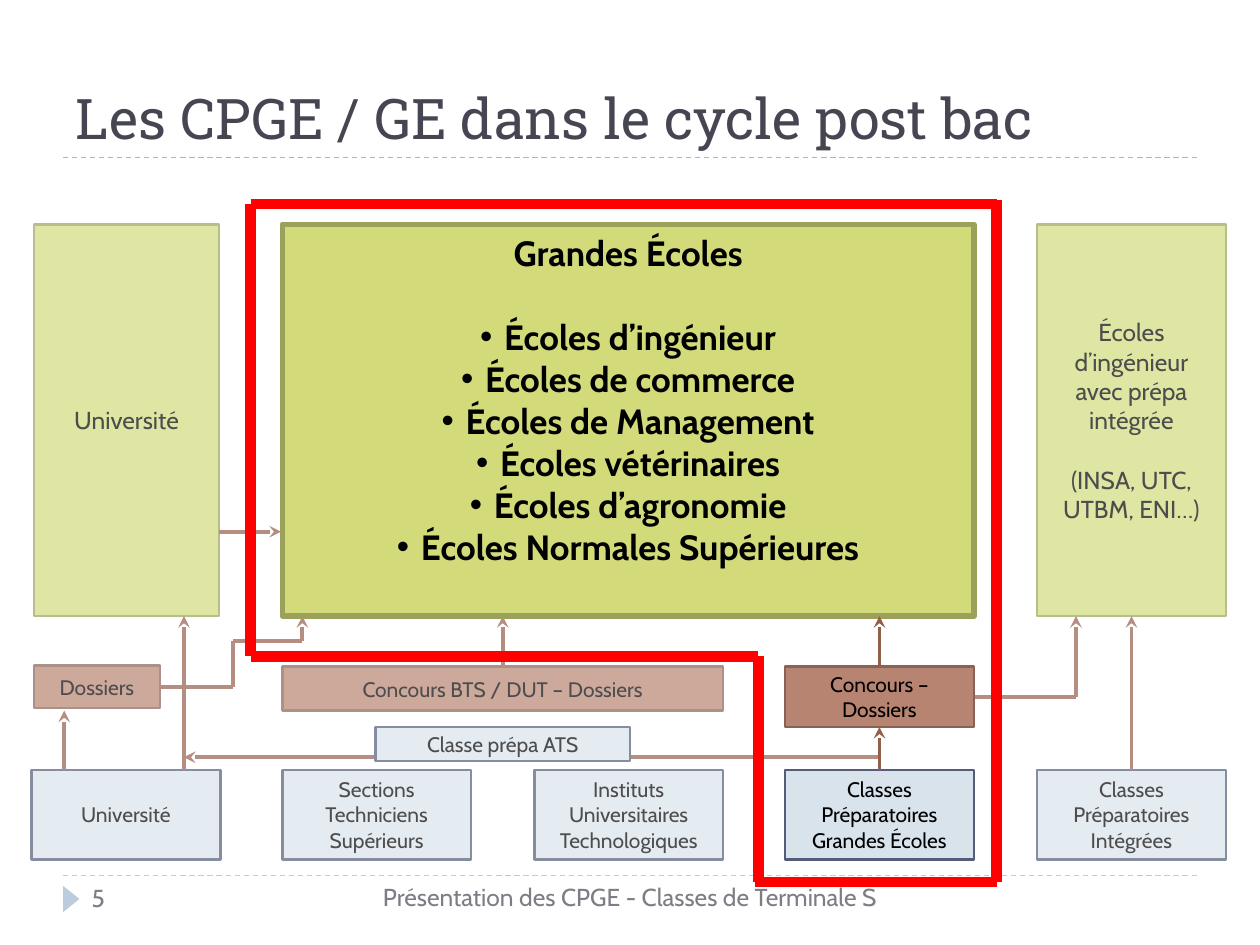
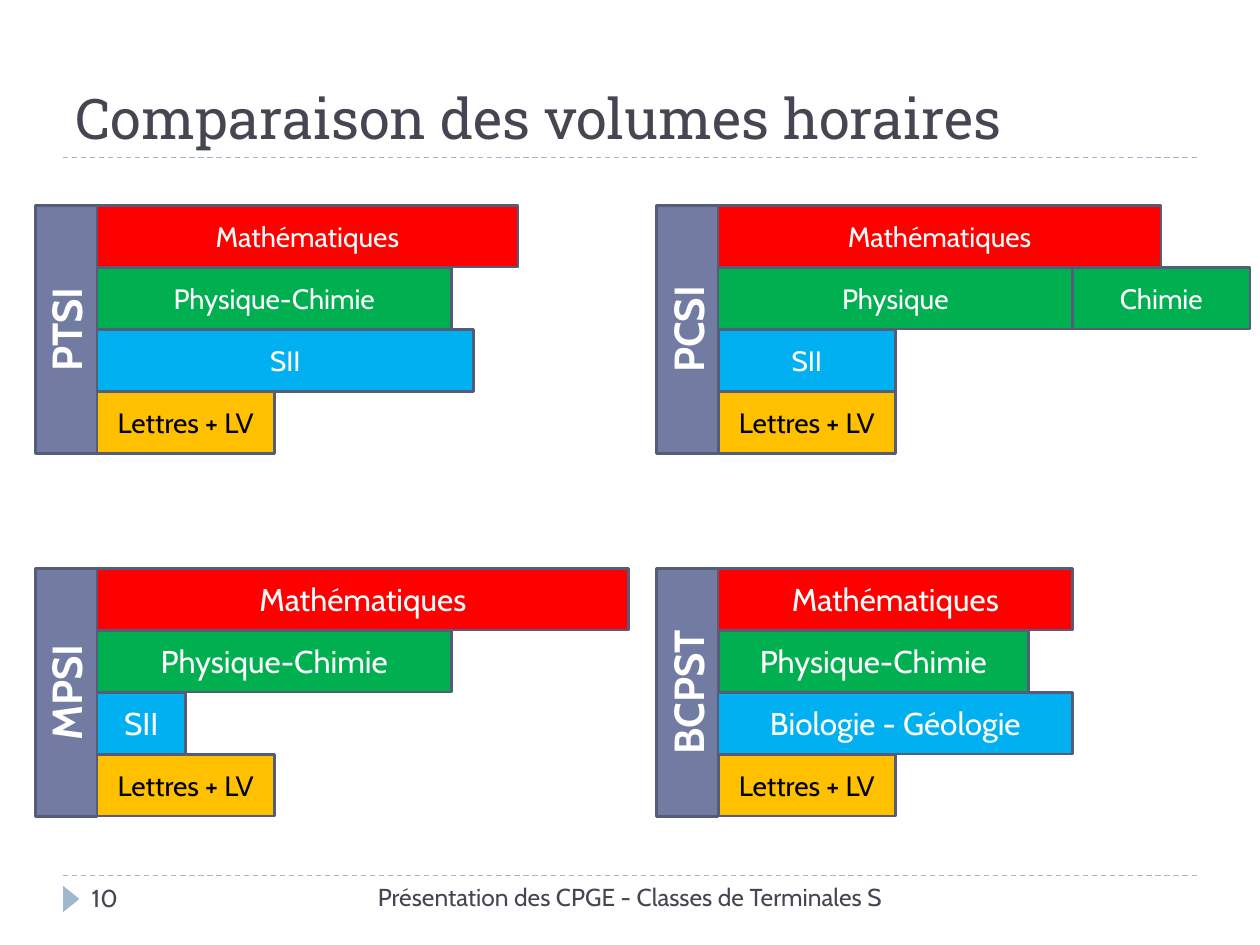
"""Build two slides on the preparatory classes: study paths and weekly hours."""
from dataclasses import dataclass, replace
from typing import Optional

from pptx import Presentation
from pptx import util as u
from pptx.dml.color import RGBColor
from pptx.enum import dml, shapes, text
from pptx.oxml import ns, xmlchemy
from pptx.shapes.autoshape import Shape
from pptx.shapes.connector import Connector
from pptx.slide import Slide
from lxml import etree

BODY_FONT = "Cabin"
TITLE_FONT = "Roboto Slab"
INK = RGBColor(0x46, 0x46, 0x53)
BLACK = RGBColor(0, 0, 0)
WHITE = RGBColor(0xFF, 0xFF, 0xFF)
RULE_BLUE = RGBColor(0x9F, 0xB8, 0xCD)
PALE_BLUE = RGBColor(0xD9, 0xE3, 0xEB)
SLATE = RGBColor(0x72, 0x7C, 0xA3)
SLATE_EDGE = RGBColor(0x54, 0x5C, 0x79)
CLAY = RGBColor(0xB8, 0x84, 0x72)
CLAY_EDGE = RGBColor(0x88, 0x62, 0x54)
OLIVE = RGBColor(0xD2, 0xDA, 0x7A)
OLIVE_EDGE = RGBColor(0x9B, 0xA1, 0x5A)
BROWN = RGBColor(0x95, 0x5E, 0x4B)
RED = RGBColor(0xFF, 0, 0)
GREEN = RGBColor(0, 0xB0, 0x50)
SKY = RGBColor(0, 0xB0, 0xF0)
AMBER = RGBColor(0xFF, 0xC0, 0)

TOP, LEFT, BOTTOM, RIGHT = range(4)
BAR_HEIGHT = 0.49
ROW_STEP = 0.4925
HOUR_WIDTH = 4.22 / 12


@dataclass(frozen=True)
class Style:
    """Fill, outline and text look of a box."""
    fill: RGBColor
    edge: Optional[RGBColor] = SLATE_EDGE
    size: int = 12
    color: RGBColor = BLACK
    bold: bool = False
    edge_width: float = 1.5
    gap: float = 0
    bullets: bool = False


@dataclass(frozen=True)
class Box:
    """A rectangle in inches; each line of its wording is a paragraph."""
    left: float
    top: float
    width: float
    height: float
    wording: str
    style: Style


@dataclass(frozen=True)
class Link:
    """A straight line in inches, with the box sides that it joins."""
    x1: float
    y1: float
    x2: float
    y2: float
    arrow: bool = True
    begin: Optional[tuple[str, int]] = None
    end: Optional[tuple[str, int]] = None


@dataclass(frozen=True)
class Bar:
    """A subject with its weekly hours; row and start place it in the block."""
    subject: str
    hours: float
    row: int
    fill: RGBColor
    size: int = 16
    start: float = 0


@dataclass(frozen=True)
class Block:
    """A class type with its bars."""
    name: str
    left: float
    top: float
    bars: tuple[Bar, ...]


STUDY = Style(PALE_BLUE)
ENTRY = Style(CLAY, CLAY_EDGE)
SCHOOL = Style(OLIVE, OLIVE_EDGE, 14, gap=17)
GOAL = replace(SCHOOL, size=20, bold=True, edge_width=3, gap=24, bullets=True)

PALE_BOXES = {
    "sts": Box(2.24, 6.11, 1.5, 0.71, "Sections Techniciens Supérieurs", STUDY),
    "iut": Box(4.24, 6.11, 1.5, 0.71, "Instituts Universitaires Technologiques", STUDY),
    "licence": Box(0.25, 6.11, 1.5, 0.71, "Université", STUDY),
    "integrated": Box(8.23, 6.11, 1.5, 0.71, "Classes Préparatoires Intégrées", STUDY),
    "bts": Box(2.24, 5.29, 3.5, 0.35, "Concours BTS / DUT – Dossiers", ENTRY),
    "university": Box(0.27, 1.78, 1.47, 3.11, "Université", SCHOOL),
    "engineering": Box(8.23, 1.78, 1.5, 3.11,
                       "Écoles d’ingénieur avec prépa intégrée\n(INSA, UTC, UTBM, ENI…)", SCHOOL),
    "files": Box(0.27, 5.28, 1, 0.34, "Dossiers", ENTRY),
}
PALE_LINKS = (
    Link(0.51, 6.11, 0.51, 5.64),
    Link(8.98, 6.11, 8.98, 4.89, begin=("integrated", TOP), end=("engineering", BOTTOM)),
    Link(8.54, 5.53, 8.54, 4.89),
    Link(7.73, 5.53, 8.54, 5.53, False, begin=("exam", RIGHT)),
    Link(6.98, 6.01, 1.46, 6.01),
    Link(3.99, 5.29, 3.99, 4.89, begin=("bts", TOP)),
    Link(1.74, 4.22, 2.23, 4.22),
    Link(2.4, 5.09, 2.4, 4.89),
    Link(1.46, 6.11, 1.46, 4.89),
    Link(1.27, 5.45, 1.85, 5.45, False, begin=("files", RIGHT)),
    Link(1.85, 5.09, 2.4, 5.09, False),
    Link(1.85, 5.09, 1.85, 5.45, False),
)
ATS_BOX = Box(2.98, 5.77, 2.02, 0.27, "Classe prépa ATS", STUDY)
VIVID_BOXES = {
    "exam": Box(6.23, 5.29, 1.5, 0.48, "Concours – Dossiers", ENTRY),
    "grandes": Box(2.24, 1.78, 5.49, 3.11,
                   "Grandes Écoles\nÉcoles d’ingénieur\nÉcoles de commerce\n"
                   "Écoles de Management\nÉcoles vétérinaires\nÉcoles d’agronomie\n"
                   "Écoles Normales Supérieures", GOAL),
    "cpge": Box(6.23, 6.11, 1.5, 0.71, "Classes Préparatoires Grandes Écoles", STUDY),
}
VIVID_LINKS = (
    Link(6.98, 6.11, 6.98, 5.77, begin=("cpge", TOP), end=("exam", BOTTOM)),
    Link(6.98, 5.29, 6.98, 4.89, begin=("exam", TOP)),
)
RED_OUTLINE = (
    Link(1.99, 1.62, 1.99, 5.21, False),
    Link(1.99, 1.62, 7.91, 1.62, False),
    Link(1.99, 5.21, 6.02, 5.21, False),
    Link(6.02, 7, 6.02, 5.21, False),
    Link(7.91, 7, 7.91, 1.59, False),
    Link(7.91, 7, 5.99, 7, False),
)

LETTERS = Bar("Lettres + LV", 4, 3, AMBER)
BLOCKS = (
    Block("PTSI", 0.77, 1.63, (
        Bar("Mathématiques", 9.5, 0, RED), Bar("Physique-Chimie", 8, 1, GREEN),
        Bar("SII", 8.5, 2, SKY), LETTERS)),
    Block("MPSI", 0.77, 4.51, (
        Bar("Mathématiques", 12, 0, RED, 18), Bar("Physique-Chimie", 8, 1, GREEN, 18),
        Bar("SII", 2, 2, SKY, 18), LETTERS)),
    Block("PCSI", 5.7, 1.63, (
        Bar("Mathématiques", 10, 0, RED), Bar("Physique", 8, 1, GREEN),
        Bar("SII", 4, 2, SKY), LETTERS, Bar("Chimie", 4, 1, GREEN, start=8))),
    Block("BCPST", 5.7, 4.51, (
        Bar("Mathématiques", 8, 0, RED, 18), Bar("Physique-Chimie", 7, 1, GREEN, 18),
        Bar("Biologie - Géologie", 8, 2, SKY, 18), LETTERS)),
)


def set_font(para, size: float, color: RGBColor, name: str = BODY_FONT, bold: bool = False) -> None:
    """Set the font of a whole paragraph."""
    para.font.name, para.font.size, para.font.bold = name, u.Pt(size), bold
    para.font.color.rgb = color


def add_bullet(para) -> None:
    """Give a paragraph a hanging round bullet."""
    props = para._p.get_or_add_pPr()
    props.set("marL", str(u.Inches(0.19)))
    props.set("indent", str(u.Inches(-0.19)))
    font = etree.SubElement(props, ns.qn("a:buFont"))
    font.set("typeface", "Arial")
    etree.SubElement(props, ns.qn("a:buChar")).set("char", "•")


def draw_box(canvas, box: Box) -> Shape:
    """Draw a rectangle with centred text on a slide's or group's shapes."""
    style = box.style
    shape = canvas.add_shape(shapes.MSO_SHAPE.RECTANGLE, u.Inches(box.left), u.Inches(box.top),
                             u.Inches(box.width), u.Inches(box.height))
    shape.shadow.inherit = False
    shape.fill.solid()
    shape.fill.fore_color.rgb = style.fill
    if style.edge is None:
        shape.line.fill.background()
    else:
        shape.line.color.rgb = style.edge
        shape.line.width = u.Pt(style.edge_width)
    if not box.wording:
        return shape
    frame = shape.text_frame
    frame.word_wrap = True
    frame.vertical_anchor = text.MSO_ANCHOR.MIDDLE
    if style.bullets:
        frame.margin_bottom = u.Inches(0.38)
    for index, line in enumerate(box.wording.split("\n")):
        para = frame.add_paragraph() if index else frame.paragraphs[0]
        para.text = line
        para.alignment = text.PP_ALIGN.CENTER
        if index == 1:
            para.space_before = u.Pt(style.gap)
        if index and style.bullets:
            add_bullet(para)
        set_font(para, style.size, style.color, bold=style.bold)
    return shape


def draw_link(page: Slide, link: Link, color: RGBColor = BROWN, width: float = 2.25) -> Connector:
    """Draw a straight line, with an arrowhead at its end when asked."""
    line = page.shapes.add_connector(shapes.MSO_CONNECTOR.STRAIGHT, u.Inches(link.x1),
                                     u.Inches(link.y1), u.Inches(link.x2), u.Inches(link.y2))
    line.line.color.rgb = color
    line.line.width = u.Pt(width)
    props = line.element.find(ns.qn("p:spPr"))
    if link.arrow:
        etree.SubElement(props.find(ns.qn("a:ln")), ns.qn("a:tailEnd")).set("type", "stealth")
    etree.SubElement(props, ns.qn("a:effectLst"))
    return line


def draw_label(page: Slide, left: float, top: float, width: float, wording: str,
               align: text.PP_ALIGN) -> None:
    """Draw a footer text."""
    box = page.shapes.add_textbox(u.Inches(left), u.Inches(top), u.Inches(width), u.Inches(0.4))
    box.text_frame.word_wrap = True
    para = box.text_frame.paragraphs[0]
    para.text, para.alignment = wording, align
    set_font(para, 14, INK)


def add_page(deck, title: str, footer: str, number: int) -> Slide:
    """Add a slide with the shared title, rules, marker and footer."""
    page = deck.slides.add_slide(deck.slide_layouts[5])
    heading = page.shapes.title
    heading.left, heading.top = u.Inches(0.5), u.Inches(0.17)
    heading.width, heading.height = u.Inches(9), u.Inches(1.08)
    frame = heading.text_frame
    frame.auto_size = text.MSO_AUTO_SIZE.NONE
    frame.word_wrap = True
    frame.vertical_anchor = text.MSO_ANCHOR.BOTTOM
    para = frame.paragraphs[0]
    para.text, para.alignment = title, text.PP_ALIGN.LEFT
    set_font(para, 32, INK, TITLE_FONT)
    for y in (6.95, 1.25):
        rule = draw_link(page, Link(0.5, y, 9.5, y, False), RULE_BLUE, 0.75)
        rule.line.dash_style = dml.MSO_LINE.DASH
    marker = page.shapes.add_shape(shapes.MSO_SHAPE.ISOSCELES_TRIANGLE, u.Inches(0.46),
                                   u.Inches(7.07), u.Inches(0.21), u.Inches(0.13))
    marker.rotation = 90
    marker.shadow.inherit = False
    marker.fill.solid()
    marker.fill.fore_color.rgb = RULE_BLUE
    marker.line.fill.background()
    draw_label(page, 2.64, 6.95, 4.72, footer, text.PP_ALIGN.CENTER)
    draw_label(page, 0.63, 6.96, 2.17, str(number), text.PP_ALIGN.LEFT)
    return page


def draw_paths(page: Slide) -> None:
    """Draw the study paths, with the route through the preparatory classes in focus."""
    boxes = {key: draw_box(page.shapes, box) for key, box in PALE_BOXES.items()}
    lines = [(link, draw_link(page, link)) for link in PALE_LINKS]
    draw_box(page.shapes, ATS_BOX)
    veil = draw_box(page.shapes, Box(0, 1.59, 10, 5.91, "", Style(WHITE, None)))
    veil_color = next(veil.element.iter(ns.qn("a:srgbClr")))
    etree.SubElement(veil_color, ns.qn("a:alpha")).set("val", "30000")
    boxes |= {key: draw_box(page.shapes, box) for key, box in VIVID_BOXES.items()}
    lines += [(link, draw_link(page, link)) for link in VIVID_LINKS]
    for link, line in lines:
        if link.begin:
            line.begin_connect(boxes[link.begin[0]], link.begin[1])
        if link.end:
            line.end_connect(boxes[link.end[0]], link.end[1])
    for side in RED_OUTLINE:
        draw_link(page, side, RED, 6)


def draw_block(page: Slide, block: Block) -> None:
    """Draw the hours of one class type as a group of bars with a turned label."""
    canvas = page.shapes.add_group_shape().shapes
    for bar in block.bars:
        color = BLACK if bar.fill == AMBER else WHITE
        draw_box(canvas, Box(block.left + bar.start * HOUR_WIDTH, block.top + bar.row * ROW_STEP,
                             bar.hours * HOUR_WIDTH, BAR_HEIGHT, bar.subject,
                             Style(bar.fill, size=bar.size, color=color)))
    label = draw_box(canvas, Box(block.left - 1.23, block.top + 0.74, 1.97, BAR_HEIGHT, block.name,
                                 Style(SLATE, size=24, color=WHITE, bold=True)))
    label.rotation = 270


def main() -> None:
    """Build and save the deck."""
    deck = Presentation()
    deck.slide_width, deck.slide_height = u.Inches(10), u.Inches(7.5)
    draw_paths(add_page(deck, "Les CPGE / GE dans le cycle post bac",
                        "Présentation des CPGE - Classes de Terminale S", 5))
    hours = add_page(deck, "Comparaison des volumes horaires",
                     "Présentation des CPGE - Classes de Terminales S", 10)
    for block in BLOCKS:
        draw_block(hours, block)
    deck.save("out.pptx")


if __name__ == "__main__":
    main()
